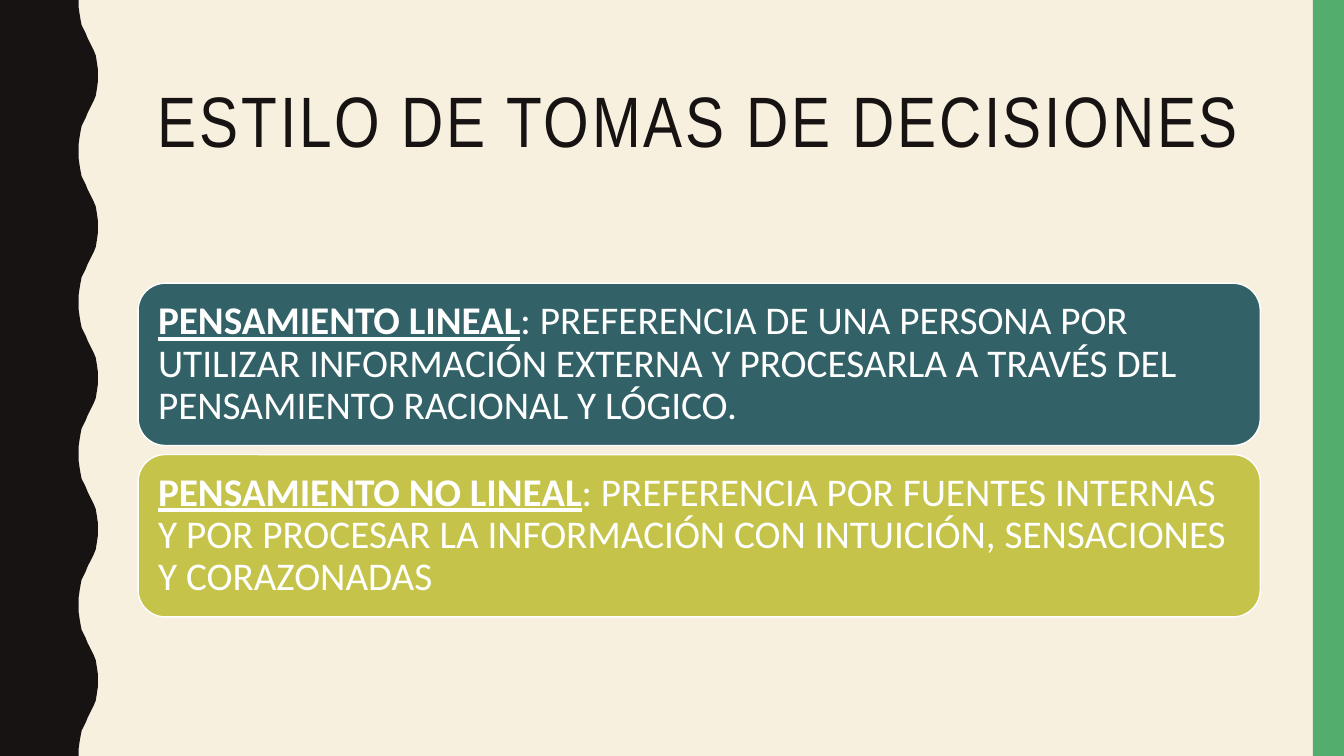
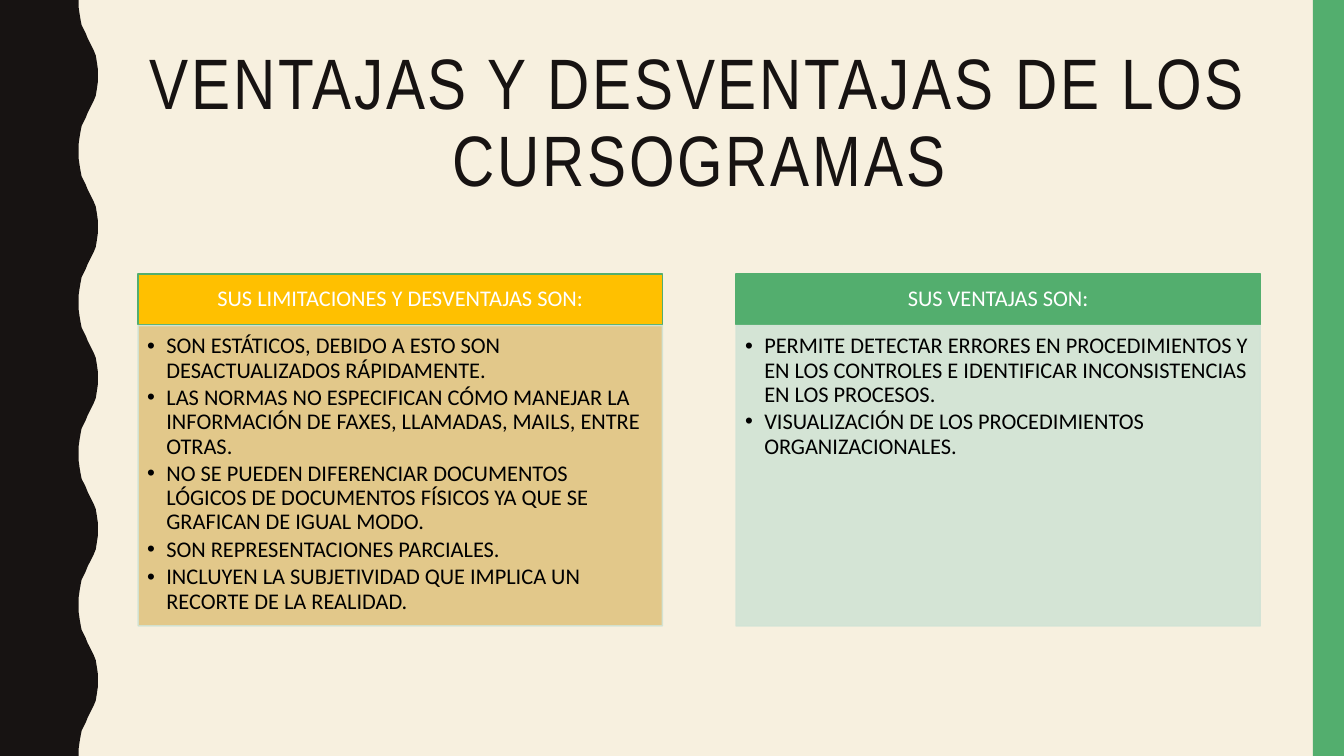
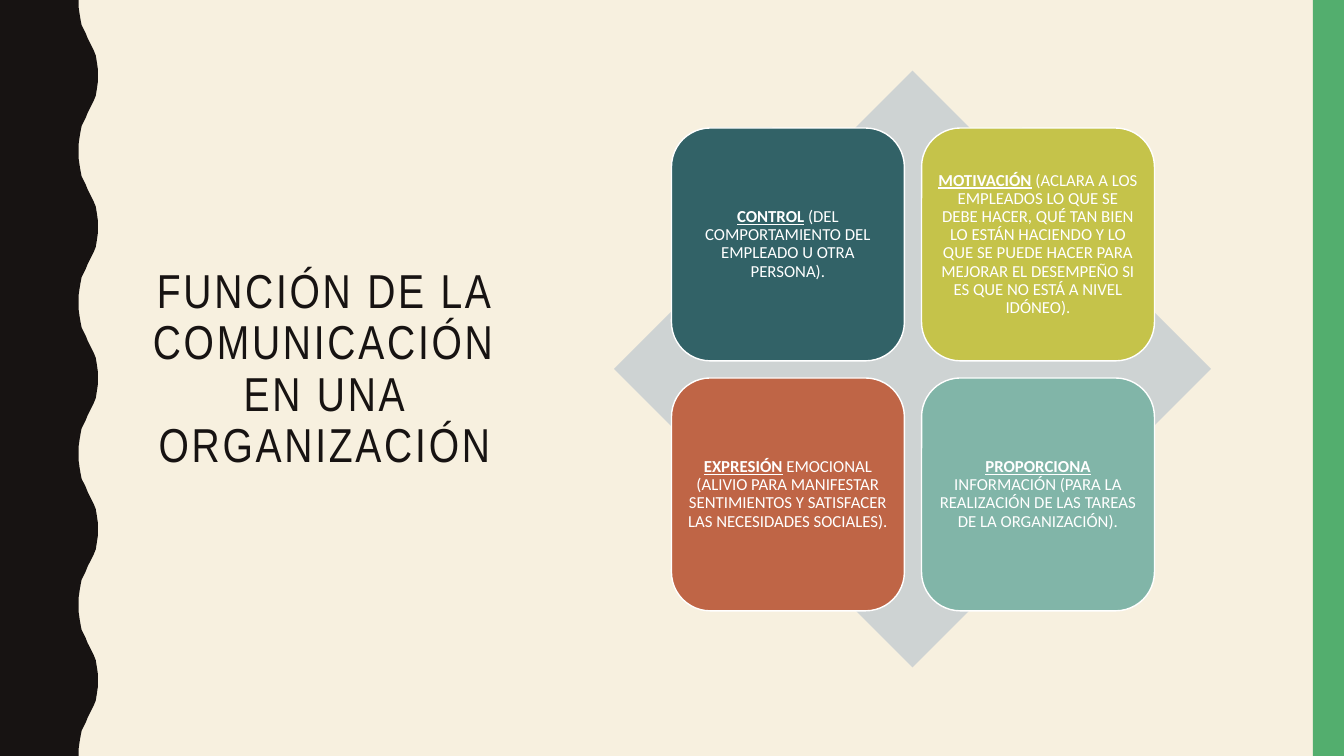
from lxml.etree import SubElement
from pptx import Presentation
from pptx.dml.color import RGBColor
from pptx.enum.shapes import MSO_SHAPE
from pptx.enum.text import MSO_ANCHOR, MSO_AUTO_SIZE, PP_ALIGN
from pptx.oxml.ns import qn
from pptx.util import Inches, Pt

INK, CREAM, GREEN, WHITE = "171312", "F7F0DF", "53AE6E", "FFFFFF"
TEAL, LIME, RUST, AQUA = "326267", "C5C34A", "BF6546", "81B5A8"
GOLD, SAND, MINT, GREY, BLACK = "FFC000", "E0C481", "D1E3D5", "CED3D3", "000000"
LEFT, WIDE = 1.37, 11.13
HEAD = (LEFT, 0.42, WIDE, 1.63)

FRAME = {"word_wrap": True, "auto_size": MSO_AUTO_SIZE.NONE}
PARA = {"line_spacing": 0.9, "space_before": Pt(0), "space_after": Pt(0)}
SIDES = ("margin_left", "margin_top", "margin_right", "margin_bottom")


def put(item, values):
    for name, value in values.items():
        setattr(item, name, value)


def place(shape, box):
    put(shape, dict(zip(("left", "top", "width", "height"), map(Inches, box))))


def paint(fill, tone):
    fill.solid()
    fill.fore_color.rgb = RGBColor.from_string(tone)


def style(shape, tone, edge=None):
    paint(shape.fill, tone)
    if edge:
        paint(shape.line.fill, edge)
        shape.line.width = Pt(1)
    else:
        shape.line.fill.background()


def fade(shape, share):
    for tone in shape.element.spPr.iter(qn("a:srgbClr")):
        SubElement(tone, qn("a:alpha"), val=str(share * 1000))


def write(shape, paras, size, tone, face="Calibri", align=PP_ALIGN.LEFT,
          anchor=MSO_ANCHOR.MIDDLE, inset=(0.1, 0.05, 0.1, 0.05), after=0):
    frame = shape.text_frame
    put(frame, FRAME | {"vertical_anchor": anchor})
    put(frame, dict(zip(SIDES, map(Inches, inset))))
    for order, (lead, rest) in enumerate(paras):
        para = frame.paragraphs[0] if order == 0 else frame.add_paragraph()
        put(para, PARA | {"alignment": align, "space_after": Pt(after)})
        for text, strong in ((lead, True), (rest, False)):
            if text:
                run = para.add_run()
                run.text = text
                put(run.font, {"name": face, "size": Pt(size),
                               "bold": strong, "underline": strong})
                paint(run.font.fill, tone)


def title(slide, text, box=HEAD, size=51):
    shape = slide.shapes.title
    place(shape, box)
    write(shape, [("", text)], size, INK, "Arial Narrow", PP_ALIGN.CENTER)
    for run in shape.text_frame.paragraphs[0].runs:
        run.font._element.set("spc", "200")


def block(slide, kind, box, tone, edge=None):
    shape = slide.shapes.add_shape(kind, *map(Inches, box))
    shape.shadow.inherit = False
    style(shape, tone, edge)
    return shape


def card(slide, box, tone, lead, rest, size, inset, align):
    shape = block(slide, MSO_SHAPE.ROUNDED_RECTANGLE, box, tone, WHITE)
    write(shape, [(lead, rest)], size, WHITE, align=align, inset=(inset,) * 4)


def wave(slide):
    xs = (78, 78, 79, 80, 81, 83, 85, 87, 89, 91, 93, 95, 96, 97, 97)
    ys = (0, 7, 14, 20, 25, 29, 33, 38, 42, 46, 50, 55, 61, 68, 75)
    half = list(zip(xs, ys))
    cycle = half + [(x, 150 - y) for x, y in half[-2::-1]]
    edge = [(x, y + 150 * turn) for turn in range(5) for x, y in cycle]
    form = slide.shapes.build_freeform(0, 0, scale=Inches(0.01))
    form.add_line_segments(edge + [(0, 750)], close=True)
    shape = form.convert_to_shape()
    shape.shadow.inherit = False
    style(shape, INK)
    return shape


def theme(deck, slide):
    master = deck.slide_master
    paint(master.background.fill, CREAM)
    bar = block(slide, MSO_SHAPE.RECTANGLE, (13.02, 0, 0.31, 7.5), GREEN)
    for order, shape in enumerate((wave(slide), bar)):
        shape.element.nvSpPr.cNvPr.set("id", str(20 + order))
        master.shapes.element.insert(2 + order, shape.element)


def column(slide, slot, left, tones, head, items):
    top, body = slide.placeholders[slot], slide.placeholders[slot + 1]
    place(top, (left, 2.72, 5.2, 0.5))
    style(top, tones[0], GREEN)
    write(top, [("", head)], 16, WHITE, align=PP_ALIGN.CENTER,
          inset=(0.12, 0.07, 0.12, 0.07))
    place(body, (left, 3.23, 5.2, 2.98))
    style(body, tones[1], MINT)
    fade(body, 90)
    write(body, [("", item) for item in items], 16, BLACK,
          anchor=MSO_ANCHOR.TOP, inset=(0.09, 0.09, 0.12, 0.14), after=2.4)
    for para in body.text_frame.paragraphs:
        props = para._p.get_or_add_pPr()
        props.set("marL", str(Inches(0.19)))
        props.set("indent", str(-Inches(0.19)))


def styles(slide):
    title(slide, "ESTILO DE TOMAS DE DECISIONES")
    cards = (
        (TEAL, "PENSAMIENTO LINEAL",
         ": PREFERENCIA DE UNA PERSONA POR UTILIZAR INFORMACIÓN EXTERNA Y "
         "PROCESARLA A TRAVÉS DEL PENSAMIENTO RACIONAL Y LÓGICO."),
        (LIME, "PENSAMIENTO NO LINEAL",
         ": PREFERENCIA POR FUENTES INTERNAS Y POR PROCESAR LA INFORMACIÓN "
         "CON INTUICIÓN, SENSACIONES Y CORAZONADAS"),
    )
    for row, (tone, lead, rest) in enumerate(cards):
        box = (LEFT, 2.81 + 1.7 * row, WIDE, 1.61)
        card(slide, box, tone, lead, rest, 28, 0.12, PP_ALIGN.LEFT)


def charts(slide):
    title(slide, "VENTAJAS Y DESVENTAJAS DE LOS CURSOGRAMAS")
    column(slide, 1, LEFT, (GOLD, SAND), "SUS LIMITACIONES Y DESVENTAJAS SON:", (
        "SON ESTÁTICOS, DEBIDO A ESTO SON DESACTUALIZADOS RÁPIDAMENTE.",
        "LAS NORMAS NO ESPECIFICAN CÓMO MANEJAR LA INFORMACIÓN DE FAXES, "
        "LLAMADAS, MAILS, ENTRE OTRAS.",
        "NO SE PUEDEN DIFERENCIAR DOCUMENTOS LÓGICOS DE DOCUMENTOS FÍSICOS "
        "YA QUE SE GRAFICAN DE IGUAL MODO.",
        "SON REPRESENTACIONES PARCIALES.",
        "INCLUYEN LA SUBJETIVIDAD QUE IMPLICA UN RECORTE DE LA REALIDAD.",
    ))
    column(slide, 3, 7.3, (GREEN, MINT), "SUS VENTAJAS SON:", (
        "PERMITE DETECTAR ERRORES EN PROCEDIMIENTOS Y EN LOS CONTROLES E "
        "IDENTIFICAR INCONSISTENCIAS EN LOS PROCESOS.",
        "VISUALIZACIÓN DE LOS PROCEDIMIENTOS ORGANIZACIONALES.",
    ))


def roles(slide):
    title(slide, "FUNCIÓN DE LA COMUNICACIÓN EN UNA ORGANIZACIÓN",
          (LEFT, 0.71, 3.7, 5.92), 34)
    block(slide, MSO_SHAPE.DIAMOND, (6.09, 0.7, 5.92, 5.92), GREY)
    cards = (
        (TEAL, "CONTROL", " (DEL COMPORTAMIENTO DEL EMPLEADO U OTRA PERSONA)."),
        (LIME, "MOTIVACIÓN",
         " (ACLARA A LOS EMPLEADOS LO QUE SE DEBE HACER, QUÉ TAN BIEN LO ESTÁN "
         "HACIENDO Y LO QUE SE PUEDE HACER PARA MEJORAR EL DESEMPEÑO SI ES QUE "
         "NO ESTÁ A NIVEL IDÓNEO)."),
        (RUST, "EXPRESIÓN",
         " EMOCIONAL (ALIVIO PARA MANIFESTAR SENTIMIENTOS Y SATISFACER LAS "
         "NECESIDADES SOCIALES)."),
        (AQUA, "PROPORCIONA",
         " INFORMACIÓN (PARA LA REALIZACIÓN DE LAS TAREAS DE LA ORGANIZACIÓN)."),
    )
    for order, (tone, lead, rest) in enumerate(cards):
        row, col = divmod(order, 2)
        box = (6.66 + 2.48 * col, 1.27 + 2.48 * row, 2.31, 2.31)
        card(slide, box, tone, lead, rest, 12, 0.05, PP_ALIGN.CENTER)


def main():
    deck = Presentation()
    put(deck, {"slide_width": Inches(13.33), "slide_height": Inches(7.5)})
    plain, pair = deck.slide_layouts[5], deck.slide_layouts[4]
    for order, (layout, build) in enumerate(
            ((plain, styles), (pair, charts), (plain, roles))):
        slide = deck.slides.add_slide(layout)
        if order == 0:
            theme(deck, slide)
        build(slide)
    deck.save("out.pptx")


if __name__ == "__main__":
    main()
